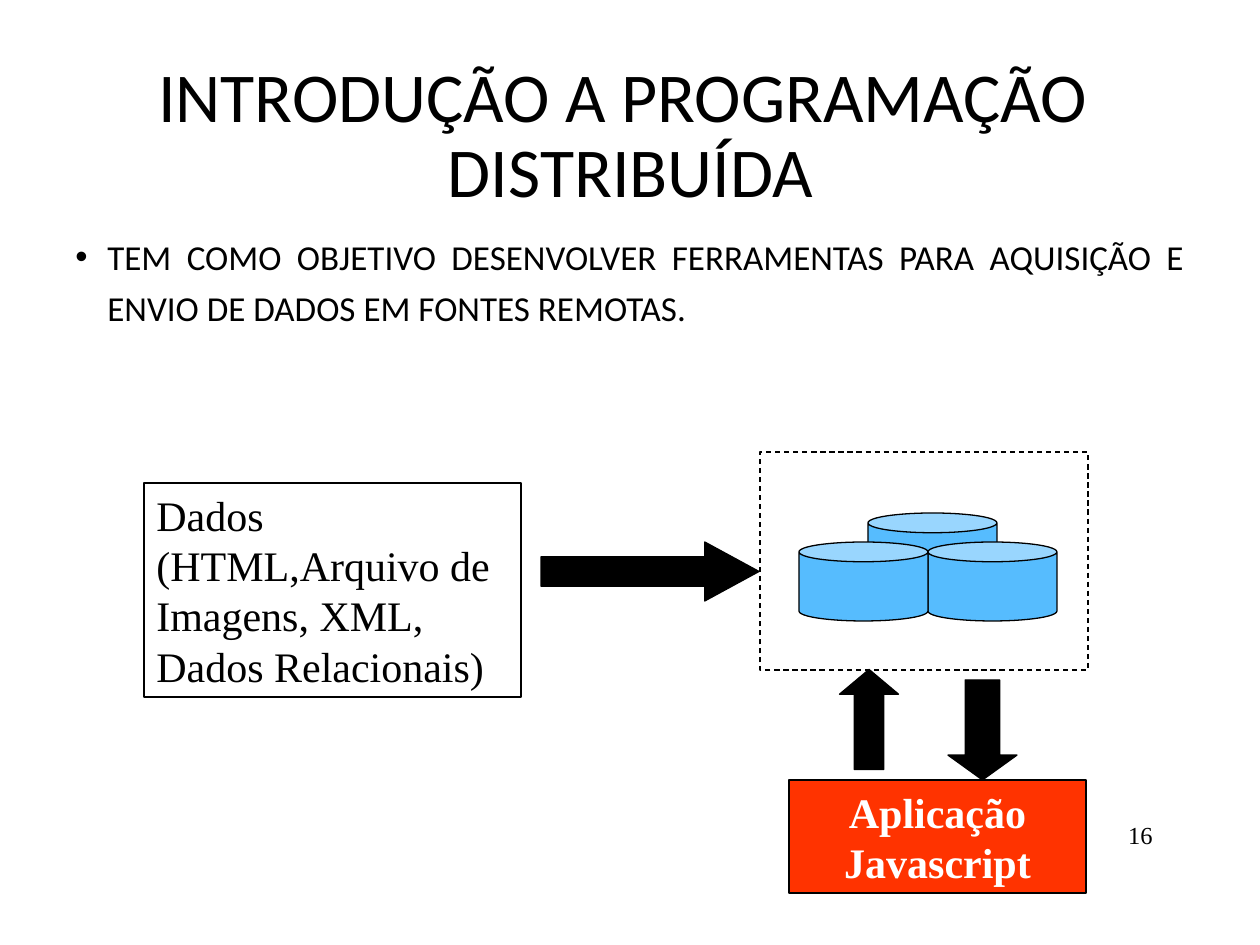
from dataclasses import dataclass
from typing import Optional

from lxml.etree import SubElement
from pptx import Presentation
from pptx.dml.color import RGBColor
from pptx.enum.dml import MSO_LINE
from pptx.enum.shapes import MSO_SHAPE as Preset
from pptx.enum.text import MSO_ANCHOR as Anchor, PP_ALIGN as Align
from pptx.oxml.ns import qn
from pptx.util import Emu, Pt

PX_PER_INCH = 126
BLACK = RGBColor(0x00, 0x00, 0x00)
WHITE = RGBColor(0xFF, 0xFF, 0xFF)
BLUE = RGBColor(0x56, 0xBC, 0xFE)
RED = RGBColor(0xFF, 0x33, 0x00)
SANS, SERIF = "Calibri", "Times New Roman"


@dataclass(frozen=True)
class Box:
    left: int
    top: int
    width: int
    height: int


@dataclass(frozen=True)
class Label:
    lines: tuple[str, ...]
    font: str
    size: int
    color: RGBColor = BLACK
    bold: bool = False
    align: Align = Align.LEFT
    anchor: Anchor = Anchor.TOP
    line_spacing: Optional[float] = None
    bullet: bool = False


@dataclass(frozen=True)
class Figure:
    preset: Preset
    box: Box
    fill: Optional[RGBColor] = None
    adjustments: tuple[float, ...] = ()
    rotation: int = 0
    dashed: bool = False
    label: Optional[Label] = None


def px(length: int) -> Emu:
    return Emu(round(length * 914400 / PX_PER_INCH))


def place(box: Box) -> tuple[Emu, ...]:
    return px(box.left), px(box.top), px(box.width), px(box.height)


def add_bullet(paragraph, indent: int) -> None:
    properties = paragraph._p.get_or_add_pPr()
    properties.set("marL", str(px(indent)))
    properties.set("indent", str(-px(indent)))
    SubElement(properties, qn("a:buFont")).set("typeface", "Arial")
    SubElement(properties, qn("a:buChar")).set("char", "•")


def write_label(shape, label: Label) -> None:
    frame = shape.text_frame
    frame.word_wrap = True
    frame.vertical_anchor = label.anchor
    paragraph = frame.paragraphs[0]
    paragraph.alignment = label.align
    if label.line_spacing:
        paragraph.line_spacing = label.line_spacing
    if label.bullet:
        add_bullet(paragraph, 32)
    for index, line in enumerate(label.lines):
        if index:
            paragraph.add_line_break()
        run = paragraph.add_run()
        run.text = line
        run.font.name = label.font
        run.font.size = Pt(label.size)
        run.font.bold = label.bold
        run.font.color.rgb = label.color


def add_text(slide, box: Box, label: Label) -> None:
    write_label(slide.shapes.add_textbox(*place(box)), label)


def add_figure(slide, figure: Figure) -> None:
    shape = slide.shapes.add_shape(figure.preset, *place(figure.box))
    shape.shadow.inherit = False
    shape.rotation = figure.rotation
    for index, value in enumerate(figure.adjustments):
        shape.adjustments[index] = value
    if figure.fill is None:
        shape.fill.background()
    else:
        shape.fill.solid()
        shape.fill.fore_color.rgb = figure.fill
    shape.line.color.rgb = BLACK
    shape.line.width = Pt(0.75)
    if figure.dashed:
        shape.line.dash_style = MSO_LINE.DASH
    if figure.label:
        write_label(shape, figure.label)


def cylinder(left: int, top: int) -> Figure:
    return Figure(Preset.CAN, Box(left, top, 129, 79), BLUE, (0.25,))


# Headings and page number
TEXTS = (
    (Box(95, 28, 1071, 219),
     Label(("INTRODUÇÃO A PROGRAMAÇÃO ", "DISTRIBUÍDA"), SANS, 40,
           align=Align.CENTER, anchor=Anchor.MIDDLE, line_spacing=0.9)),
    (Box(63, 221, 1134, 222),
     Label(("TEM COMO OBJETIVO DESENVOLVER FERRAMENTAS PARA AQUISIÇÃO E "
            "ENVIO DE DADOS EM FONTES REMOTAS.",), SANS, 20,
           align=Align.JUSTIFY, line_spacing=1.2, bullet=True)),
    (Box(1086, 810, 79, 50),
     Label(("16",), SERIF, 14, align=Align.RIGHT, anchor=Anchor.MIDDLE)),
)

# Diagram, from back to front
FIGURES = (
    Figure(Preset.RECTANGLE, Box(760, 452, 328, 218), dashed=True),
    cylinder(868, 513),
    cylinder(928, 542),
    cylinder(799, 542),
    Figure(Preset.RIGHT_ARROW, Box(541, 542, 218, 59), BLACK, (0.5, 0.92)),
    Figure(Preset.RECTANGLE, Box(144, 483, 377, 214), label=Label(
        ("Dados (HTML,Arquivo de Imagens, XML, Dados Relacionais)",), SERIF, 24)),
    Figure(Preset.RECTANGLE, Box(789, 780, 297, 113), RED, label=Label(
        ("Aplicação Javascript",), SERIF, 24, WHITE, bold=True,
        align=Align.CENTER)),
    Figure(Preset.LEFT_ARROW, Box(819, 690, 100, 59), BLACK, (0.5, 0.42), rotation=90),
    Figure(Preset.DOWN_ARROW, Box(948, 680, 69, 100), BLACK, (0.5, 0.36)),
)


def main() -> None:
    presentation = Presentation()
    presentation.slide_width = px(1260)
    presentation.slide_height = px(945)
    slide = presentation.slides.add_slide(presentation.slide_layouts[6])
    for box, label in TEXTS:
        add_text(slide, box, label)
    for figure in FIGURES:
        add_figure(slide, figure)
    presentation.save("out.pptx")


if __name__ == "__main__":
    main()
